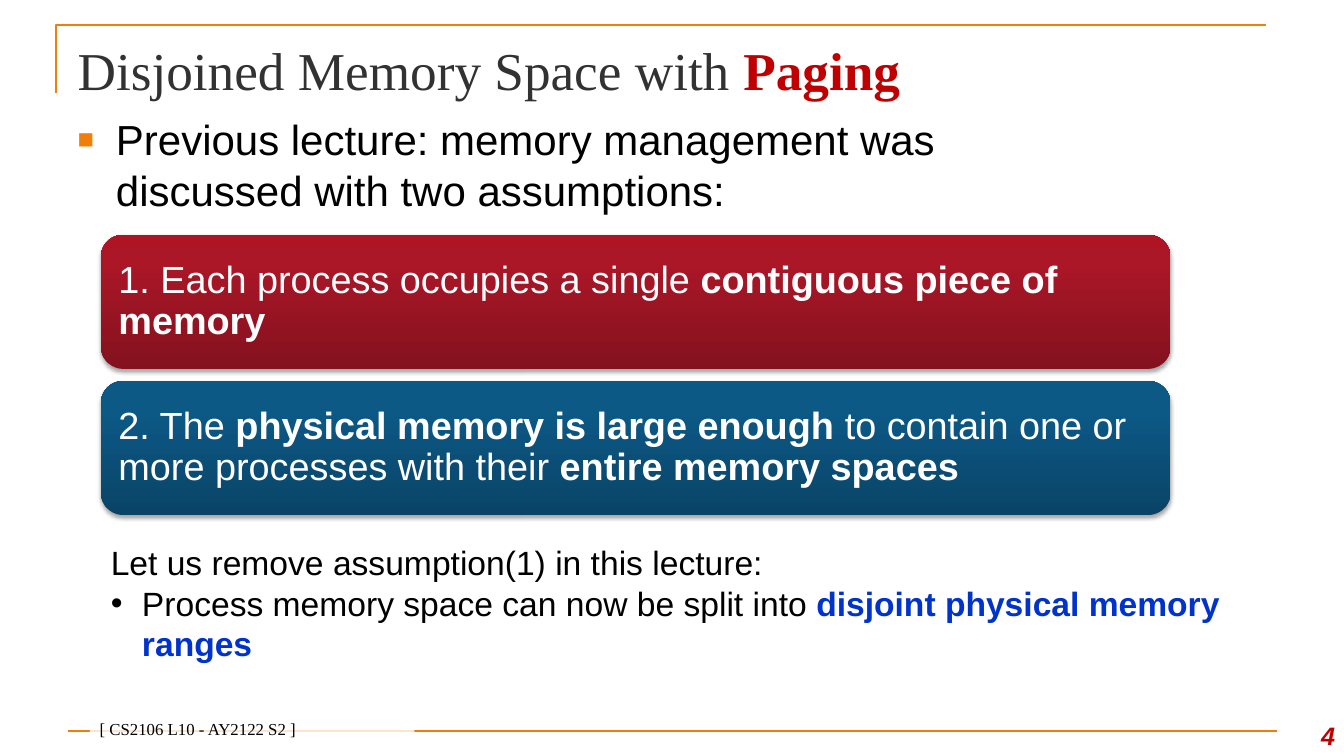
from lxml import etree
from pptx import Presentation
from pptx import util as u
from pptx.dml.color import RGBColor
from pptx.enum import shapes, text
from pptx.oxml.ns import qn

ORANGE, RED, BLUE = "F07F09", "C00000", "0033CC"
BLACK, WHITE, GREY = "000000", "FFFFFF", "323232"
SANS, SERIF = "Arial", "Times New Roman"


def color(target, value):
    target.rgb = RGBColor.from_string(value)


def sub(parent, tag, **attrs):
    return etree.SubElement(parent, qn(tag), attrs)


def place(sp, box):
    sp.left, sp.top, sp.width, sp.height = map(u.Inches, box)


def add_run(p, content, size, c=BLACK, font=SANS, bold=False, italic=False):
    r = p.add_run()
    r.text = content
    f = r.font
    f.size, f.name, f.bold, f.italic = u.Pt(size), font, bold, italic
    color(f.color, c)


def set_frame(sp, anchor):
    tf = sp.text_frame
    tf.word_wrap = True
    tf.auto_size = text.MSO_AUTO_SIZE.NONE
    tf.vertical_anchor = anchor
    p = tf.paragraphs[0]
    p.alignment = text.PP_ALIGN.LEFT
    return tf, p


def add_bullet(p, char, indent, c=BLACK, percent=100):
    pPr = p._p.get_or_add_pPr()
    pPr.set("marL", str(u.Inches(indent)))
    pPr.set("indent", str(-u.Inches(indent)))
    sub(sub(pPr, "a:buClr"), "a:srgbClr", val=c)
    sub(pPr, "a:buSzPct", val=str(percent * 1000))
    sub(pPr, "a:buFont", typeface=SANS)
    sub(pPr, "a:buChar", char=char)


def style_line(sp):
    color(sp.line.color, ORANGE)
    sp.line.width = u.Pt(1.5)


def add_frame(s, x, y, w, h):
    # Corner rule above the title
    fb = s.shapes.build_freeform(u.Inches(x), u.Inches(y + h))
    fb.add_line_segments([(u.Inches(x), u.Inches(y)),
                          (u.Inches(x + w), u.Inches(y))], close=False)
    corner = fb.convert_to_shape()
    corner.fill.background()
    corner.shadow.inherit = False
    style_line(corner)


def add_title(s, box):
    title = s.shapes.title
    place(title, box)
    tf, p = set_frame(title, text.MSO_ANCHOR.MIDDLE)
    add_run(p, "Disjoined Memory Space with ", 38, GREY, SERIF)
    add_run(p, "Paging", 38, RED, SERIF, bold=True)


def add_intro(s, box):
    body = s.placeholders[1]
    place(body, box)
    tf, p = set_frame(body, text.MSO_ANCHOR.TOP)
    add_bullet(p, "■", 0.38, ORANGE, 65)
    add_run(p, "Previous lecture: memory management was discussed "
               "with two assumptions:", 30)


def add_card(s, box, stops, runs):
    card = s.shapes.add_shape(shapes.MSO_SHAPE.ROUNDED_RECTANGLE,
                              *map(u.Inches, box))
    card.line.fill.background()
    # Vertical gradient, dark at the bottom
    card.fill.gradient()
    card.fill.gradient_angle = 90
    spPr = card._element.spPr
    gs_list = spPr.find(qn("a:gradFill")).find(qn("a:gsLst"))
    gs_list.clear()
    for pos, c in zip((0, 80, 100), stops):
        sub(sub(gs_list, "a:gs", pos=str(pos * 1000)), "a:srgbClr", val=c)
    # Soft shadow below
    card.shadow.inherit = False
    shadow = sub(spPr.find(qn("a:effectLst")), "a:outerShdw",
                 blurRad=str(u.Pt(3.1)), dist=str(u.Pt(1.8)),
                 dir="5400000", rotWithShape="0")
    sub(sub(shadow, "a:srgbClr", val=BLACK), "a:alpha", val="35000")
    # Wording
    tf, p = set_frame(card, text.MSO_ANCHOR.MIDDLE)
    tf.margin_left = tf.margin_right = u.Inches(0.11)
    tf.margin_top = tf.margin_bottom = u.Inches(0.11)
    p.line_spacing = 0.9
    for content, bold in runs:
        add_run(p, content, 27, WHITE, bold=bold)


def add_assumptions(s, x, y, w):
    h, gap = 1.33, 0.12
    cards = [
        (("84111E", "AB1727", "AF1425"),
         [("1. Each process occupies a single ", False),
          ("contiguous piece of memory", True)]),
        (("094467", "0C5986", "0A5A89"),
         [("2. The ", False),
          ("physical memory is large enough ", True),
          ("to contain one or more processes with their ", False),
          ("entire memory spaces", True)]),
    ]
    for i, (stops, runs) in enumerate(cards):
        add_card(s, (x, y + i * (h + gap), w, h), stops, runs)


def add_conclusion(s, box):
    tb = s.shapes.add_textbox(*map(u.Inches, box))
    tf, p = set_frame(tb, text.MSO_ANCHOR.TOP)
    tf.auto_size = text.MSO_AUTO_SIZE.SHAPE_TO_FIT_TEXT
    add_run(p, "Let us remove assumption(1) in this lecture:", 24)
    p = tf.add_paragraph()
    add_bullet(p, "•", 0.31)
    add_run(p, "Process memory space can now be split into ", 24)
    add_run(p, "disjoint physical memory ranges", 24, BLUE, bold=True)


def add_footer(s, x, y, w):
    # Rule
    rule = s.shapes.add_connector(
        shapes.MSO_CONNECTOR.STRAIGHT,
        *map(u.Inches, (x, y, x + w, y)))
    style_line(rule)
    sub(rule._element.spPr, "a:effectLst")
    # Course label over the rule
    label = s.shapes.add_shape(shapes.MSO_SHAPE.RECTANGLE, *map(
        u.Inches, (x + 0.22, y - 0.12, 3.22, 0.25)))
    label.shadow.inherit = False
    label.line.fill.background()
    label.fill.solid()
    color(label.fill.fore_color, WHITE)
    fill = label._element.spPr.find(qn("a:solidFill"))
    sub(fill[0], "a:alpha", val="80000")
    tf, p = set_frame(label, text.MSO_ANCHOR.BOTTOM)
    add_run(p, "[ CS2106 L10 - AY2122 S2 ]", 12, font=SERIF)
    # Page number
    number = s.shapes.add_textbox(*map(
        u.Inches, (x + w - 0.11, y - 0.25, 0.78, 0.5)))
    tf, p = set_frame(number, text.MSO_ANCHOR.BOTTOM)
    p.alignment = text.PP_ALIGN.RIGHT
    add_run(p, "4", 18, RED, bold=True, italic=True)


def main():
    prs = Presentation()
    prs.slide_width, prs.slide_height = u.Inches(13.33), u.Inches(7.5)
    s = prs.slides.add_slide(prs.slide_layouts[1])
    add_frame(s, 0.56, 0.25, 12, 0.67)
    add_title(s, (0.67, 0.3, 12, 0.78))
    add_intro(s, (0.67, 1.08, 10.5, 1.25))
    add_footer(s, 0.67, 7.25, 12)
    add_assumptions(s, 1, 2.33, 10.61)
    add_conclusion(s, (1, 5.33, 11.25, 1.31))
    prs.save("out.pptx")


if __name__ == "__main__":
    main()
